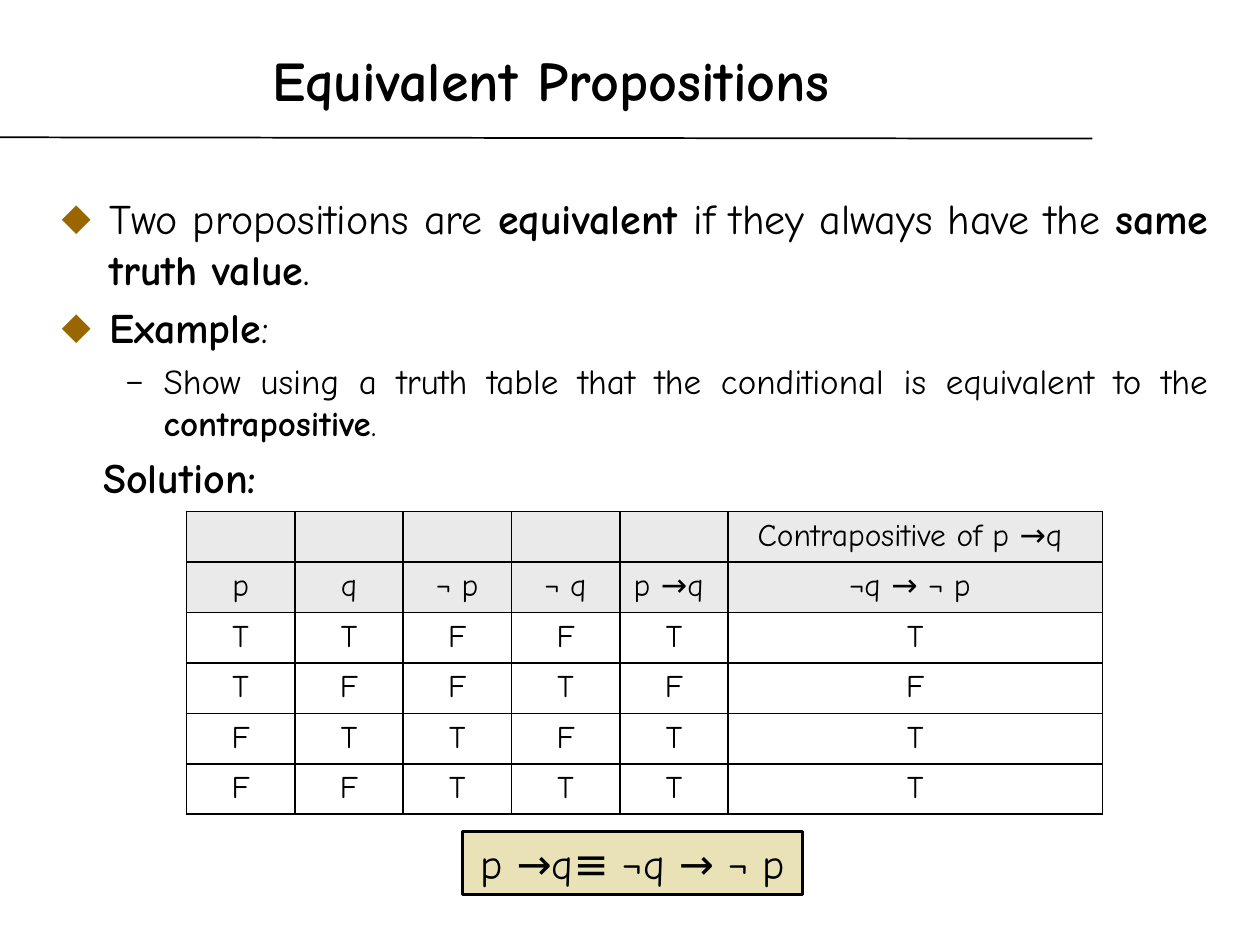
from itertools import product

from lxml import etree
from pptx import Presentation
from pptx import util as u
from pptx.dml.color import RGBColor
from pptx.enum import shapes, text
from pptx.oxml import ns

BLACK = RGBColor(0x00, 0x00, 0x00)
WHITE = RGBColor(0xFF, 0xFF, 0xFF)
HEADER = RGBColor(0xEA, 0xEA, 0xEA)
SAND = RGBColor(0xE9, 0xE2, 0xB6)
BRONZE = RGBColor(0x99, 0x66, 0x00)
CENTER = text.PP_ALIGN.CENTER
JUSTIFY = text.PP_ALIGN.JUSTIFY


class Deck:
    font = "Comic Neue"
    columns, rows = 100, 75

    def __init__(self):
        self.prs = Presentation()
        self.prs.slide_width, self.prs.slide_height = u.Inches(10), u.Inches(7.5)
        self.slide = self.prs.slides.add_slide(self.prs.slide_layouts[6])

    def x(self, column):
        return round(self.prs.slide_width * column / self.columns)

    def y(self, row):
        return round(self.prs.slide_height * row / self.rows)

    def area(self, left, top, width, height):
        return self.x(left), self.y(top), self.x(width), self.y(height)

    def add_runs(self, paragraph, pieces, size, align=CENTER):
        paragraph.alignment = align
        for wording, bold in pieces:
            run = paragraph.add_run()
            run.text = wording
            run.font.name = self.font
            run.font.size = u.Pt(size)
            run.font.bold = bold
            run.font.color.rgb = BLACK

    def rule(self, start, end):
        line = self.slide.shapes.add_connector(
            shapes.MSO_CONNECTOR.STRAIGHT,
            self.x(start[0]), self.y(start[1]), self.x(end[0]), self.y(end[1]))
        line.line.color.rgb = BLACK
        line.line.width = u.Pt(1)
        etree.SubElement(line._element.spPr, ns.qn("a:effectLst"))

    def textbox(self, area, anchor=text.MSO_ANCHOR.TOP):
        frame = self.slide.shapes.add_textbox(*self.area(*area)).text_frame
        frame.word_wrap = True
        frame.vertical_anchor = anchor
        return frame

    def title(self, area, wording):
        frame = self.textbox(area, text.MSO_ANCHOR.MIDDLE)
        self.add_runs(frame.paragraphs[0], [(wording, True)], 32)

    def outline(self, area, items):
        frame = self.textbox(area)
        for index, (style, pieces) in enumerate(items):
            paragraph = frame.add_paragraph() if index else frame.paragraphs[0]
            size, margin, hanging, mark, colour, percent = style
            self.add_runs(paragraph, pieces, size, JUSTIFY)
            paragraph.space_before = u.Pt(size * 0.2)
            props = paragraph._p.get_or_add_pPr()
            props.set("marL", str(u.Inches(margin)))
            props.set("indent", str(-u.Inches(hanging)))
            if mark:
                tint = etree.SubElement(props, ns.qn("a:buClr"))
                etree.SubElement(tint, ns.qn("a:srgbClr"), val=str(colour))
                etree.SubElement(props, ns.qn("a:buSzPct"), val=str(percent * 1000))
                etree.SubElement(props, ns.qn("a:buFont"), typeface=self.font)
                etree.SubElement(props, ns.qn("a:buChar"), char=mark)

    def border(self, cell):
        props = cell._tc.get_or_add_tcPr()
        for index, side in enumerate(("lnL", "lnR", "lnT", "lnB")):
            edge = etree.Element(ns.qn(f"a:{side}"), w=str(u.Pt(1)))
            fill = etree.SubElement(edge, ns.qn("a:solidFill"))
            etree.SubElement(fill, ns.qn("a:srgbClr"), val=str(BLACK))
            props.insert(index, edge)

    def table(self, area, widths, rows, header_rows):
        table = self.slide.shapes.add_table(
            len(rows), len(widths), *self.area(*area)).table
        table.first_row = table.horz_banding = False
        for column, width in zip(table.columns, widths):
            column.width = self.x(width)
        for r, row in enumerate(rows):
            for c, wording in enumerate(row):
                cell = table.cell(r, c)
                cell.fill.solid()
                cell.fill.fore_color.rgb = HEADER if r < header_rows else WHITE
                self.border(cell)
                if wording:
                    self.add_runs(cell.text_frame.paragraphs[0], [(wording, False)], 18)

    def panel(self, area, wording):
        panel = self.slide.shapes.add_shape(
            shapes.MSO_SHAPE.RECTANGLE, *self.area(*area))
        panel.shadow.inherit = False
        panel.fill.solid()
        panel.fill.fore_color.rgb = SAND
        panel.line.color.rgb = BLACK
        panel.line.width = u.Pt(2)
        panel.text_frame.word_wrap = False
        panel.text_frame.auto_size = text.MSO_AUTO_SIZE.SHAPE_TO_FIT_TEXT
        self.add_runs(panel.text_frame.paragraphs[0], [(wording, False)], 24)


POINT = (24, 0.38, 0.38, "⬥", BRONZE, 100)
SUBPOINT = (20, 0.81, 0.31, "–", BLACK, 95)
PLAIN = (24, 0.33, 0, None, None, None)

deck = Deck()
deck.rule((0, 10.9), (86.7, 11))
deck.title((0.8, 1.6, 85.9, 9.4), "Equivalent Propositions")
deck.outline((3.9, 14.8, 93, 23.4), [
    (POINT, [("Two propositions are ", False), ("equivalent ", True),
             ("if they always have the ", False), ("same truth value", True),
             (".", False)]),
    (POINT, [("Example", True), (": ", False)]),
    (SUBPOINT, [("Show using a truth table that the conditional is equivalent to the ",
                 False), ("contrapositive", True), (".", False)]),
    (PLAIN, [("Solution: ", True)]),
])

headings = [
    [""] * 5 + ["Contrapositive of p →q "],
    ["p", "q", "¬ p", "¬ q", "p →q ", "¬q → ¬ p "],
]
truth_rows = [
    ["FT"[value] for value in (p, q, not p, not q, not p or q, q or not p)]
    for p, q in product((True, False), repeat=2)
]
deck.table((14.8, 40.6, 72.7, 24), [8.6] * 5 + [29.7], headings + truth_rows, 2)
deck.panel((36.7, 66, 27, 5), "p →q≡ ¬q → ¬ p ")
deck.prs.save("out.pptx")
